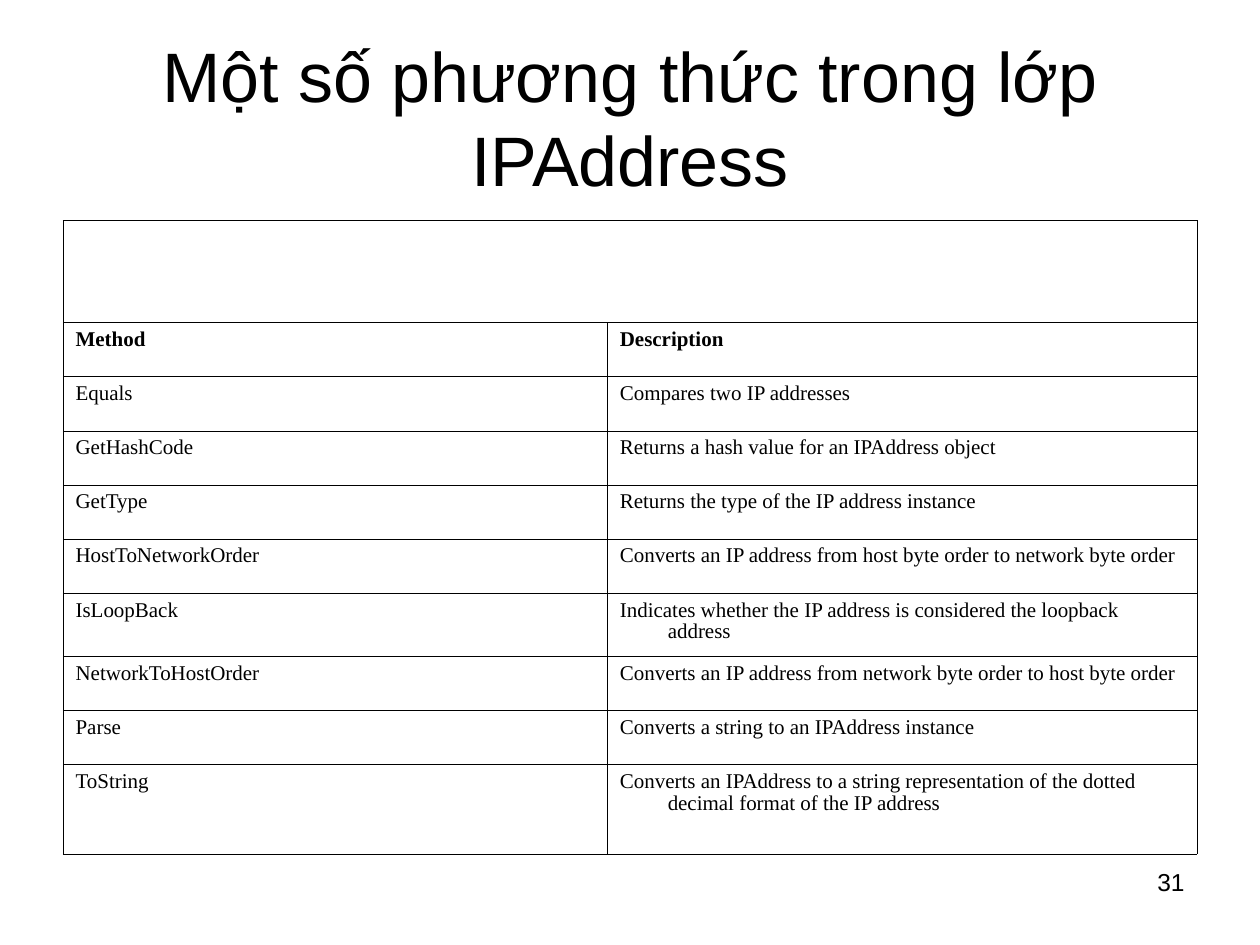
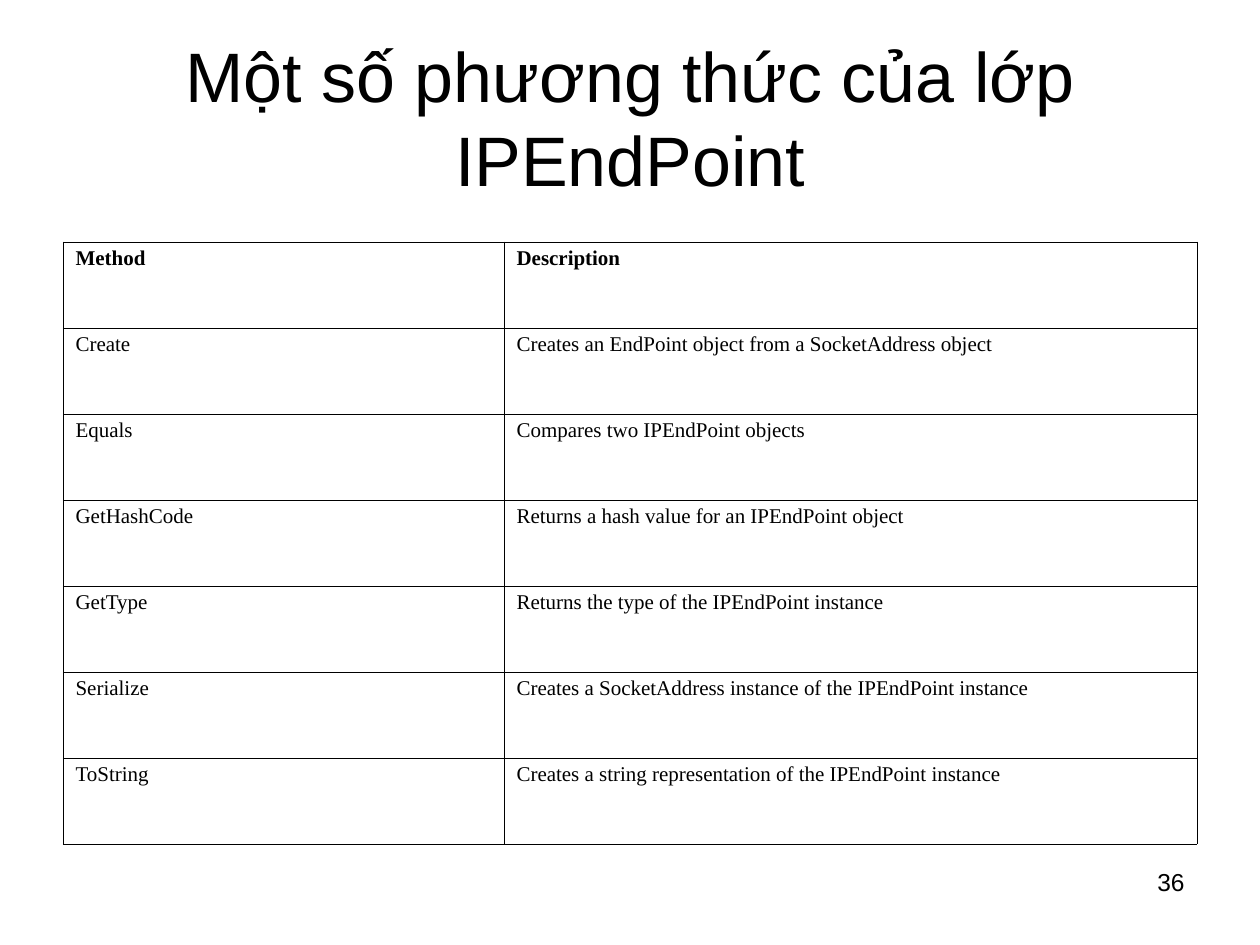
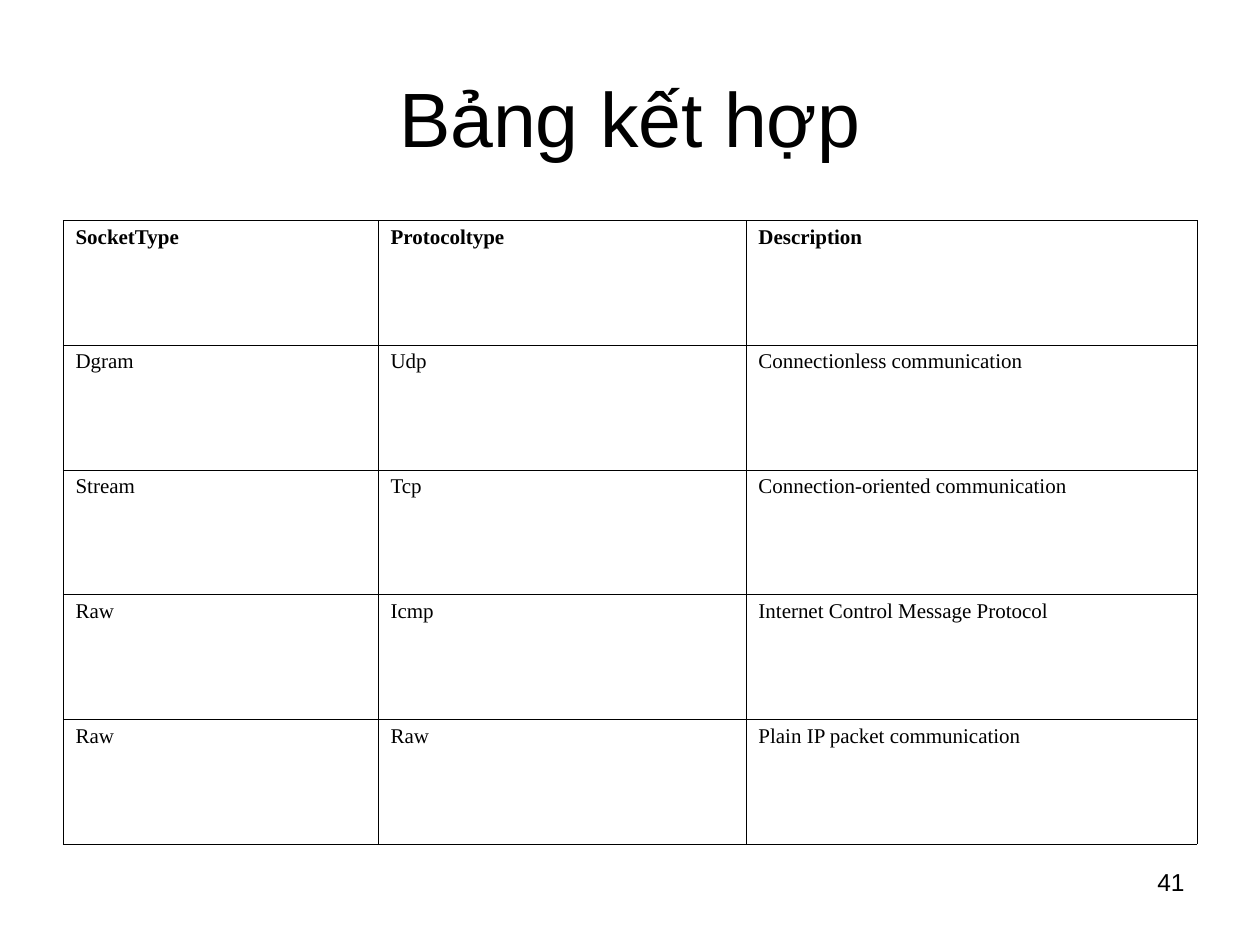
from dataclasses import dataclass

from lxml import etree
from pptx import Presentation
from pptx.dml.color import RGBColor
from pptx.enum.text import MSO_ANCHOR, PP_ALIGN
from pptx.oxml.ns import qn
from pptx.util import Inches, Pt

LEFT, CENTER, RIGHT = PP_ALIGN.LEFT, PP_ALIGN.CENTER, PP_ALIGN.RIGHT
TOP, MIDDLE = MSO_ANCHOR.TOP, MSO_ANCHOR.MIDDLE


@dataclass(frozen=True)
class Theme:
    ink: str = "000000"
    heading_font: str = "Arial"
    table_font: str = "Times New Roman"
    title_size: int = 44
    long_title_size: int = 40
    number_size: int = 14
    cell_size: int = 12
    cell_spacing: float = 0.93
    hanging_indent: float = 0.38
    border_width: float = 0.34


THEME = Theme()
TITLE_BOX = (0.5, 0.3, 9, 1.25)
NUMBER_BOX = (7.17, 6.83, 2.33, 0.52)

ADDRESS_METHODS = [
    ("Method", "Description"),
    ("Equals", "Compares two IP addresses"),
    ("GetHashCode", "Returns a hash value for an IPAddress object"),
    ("GetType", "Returns the type of the IP address instance"),
    ("HostToNetworkOrder",
     "Converts an IP address from host byte order to network byte order"),
    ("IsLoopBack",
     "Indicates whether the IP address is considered the loopback address"),
    ("NetworkToHostOrder",
     "Converts an IP address from network byte order to host byte order"),
    ("Parse", "Converts a string to an IPAddress instance"),
    ("ToString", "Converts an IPAddress to a string representation of the "
                 "dotted decimal format of the IP address"),
]
END_POINT_METHODS = [
    ("Method", "Description"),
    ("Create", "Creates an EndPoint object from a SocketAddress object"),
    ("Equals", "Compares two IPEndPoint objects"),
    ("GetHashCode", "Returns a hash value for an IPEndPoint object"),
    ("GetType", "Returns the type of the IPEndPoint instance"),
    ("Serialize", "Creates a SocketAddress instance of the IPEndPoint instance"),
    ("ToString", "Creates a string representation of the IPEndPoint instance"),
]
SOCKET_COMBINATIONS = [
    ("SocketType", "Protocoltype", "Description"),
    ("Dgram", "Udp", "Connectionless communication"),
    ("Stream", "Tcp", "Connection-oriented communication"),
    ("Raw", "Icmp", "Internet Control Message Protocol"),
    ("Raw", "Raw", "Plain IP packet communication"),
]


def write_text(frame, text, *, font, size, bold=False, align=LEFT, spacing=None):
    """Fill the first paragraph of a text frame and return that paragraph."""
    para = frame.paragraphs[0]
    para.alignment = align
    para.line_spacing = spacing
    span = para.add_run()
    span.text = text
    span.font.name = font
    span.font.size = Pt(size)
    span.font.bold = bold
    span.font.color.rgb = RGBColor.from_string(THEME.ink)
    return para


def add_text_box(page, box, text, *, anchor=TOP, **text_format):
    frame = page.shapes.add_textbox(*map(Inches, box)).text_frame
    frame.word_wrap = True
    frame.vertical_anchor = anchor
    write_text(frame, text, font=THEME.heading_font, **text_format)


def draw_borders(cell):
    properties = cell._tc.get_or_add_tcPr()
    for position, side in enumerate(("lnL", "lnR", "lnT", "lnB")):
        line = etree.Element(qn(f"a:{side}"), w=str(Pt(THEME.border_width)))
        fill = etree.SubElement(line, qn("a:solidFill"))
        etree.SubElement(fill, qn("a:srgbClr"), val=THEME.ink)
        properties.insert(position, line)


def write_cell(cell, text, bold):
    para = write_text(cell.text_frame, text, font=THEME.table_font,
                      size=THEME.cell_size, bold=bold,
                      spacing=THEME.cell_spacing)
    indent = Inches(THEME.hanging_indent)
    properties = para._p.get_or_add_pPr()
    properties.set("marL", str(indent))
    properties.set("indent", str(-indent))


def add_grid(page, box, rows, column_widths, row_heights, has_banner=False):
    """Draw a ruled table; a banner is an empty merged row above the header."""
    banner_rows = int(has_banner)
    table = page.shapes.add_table(len(rows) + banner_rows, len(column_widths),
                                  *map(Inches, box)).table
    table.first_row = table.horz_banding = False
    for column, width in zip(table.columns, column_widths):
        column.width = Inches(width)
    for row, height in zip(table.rows, row_heights):
        row.height = Inches(height)
    for cell in table.iter_cells():
        cell.fill.background()
        draw_borders(cell)
    if has_banner:
        table.cell(0, 0).merge(table.cell(0, len(column_widths) - 1))
    for row_index, texts in enumerate(rows):
        for column_index, text in enumerate(texts):
            cell = table.cell(row_index + banner_rows, column_index)
            write_cell(cell, text, bold=row_index == 0)


def add_table_page(deck, title, number, title_size, **grid):
    page = deck.slides.add_slide(deck.slide_layouts[6])
    add_text_box(page, TITLE_BOX, title, size=title_size, align=CENTER,
                 anchor=MIDDLE)
    add_grid(page, **grid)
    add_text_box(page, NUMBER_BOX, number, size=THEME.number_size, align=RIGHT)


def main():
    deck = Presentation()
    deck.slide_width, deck.slide_height = Inches(10), Inches(7.5)
    add_table_page(
        deck, "Một số phương thức trong lớp IPAddress", "31",
        THEME.long_title_size, box=(0.5, 1.75, 9, 5.02), rows=ADDRESS_METHODS,
        column_widths=(4.32, 4.68), has_banner=True,
        row_heights=[0.81] + [0.43] * 5 + [0.5] + [0.43] * 2 + [0.71])
    add_table_page(
        deck, "Một số phương thức của lớp IPEndPoint", "36",
        THEME.long_title_size, box=(0.5, 1.92, 9, 4.78), rows=END_POINT_METHODS,
        column_widths=(3.5, 5.5),
        row_heights=[4.78 / len(END_POINT_METHODS)] * len(END_POINT_METHODS))
    add_table_page(
        deck, "Bảng kết hợp", "41",
        THEME.title_size, box=(0.5, 1.75, 9, 4.95), rows=SOCKET_COMBINATIONS,
        column_widths=(2.5, 2.92, 3.58),
        row_heights=[4.95 / len(SOCKET_COMBINATIONS)] * len(SOCKET_COMBINATIONS))
    deck.save("out.pptx")


if __name__ == "__main__":
    main()
